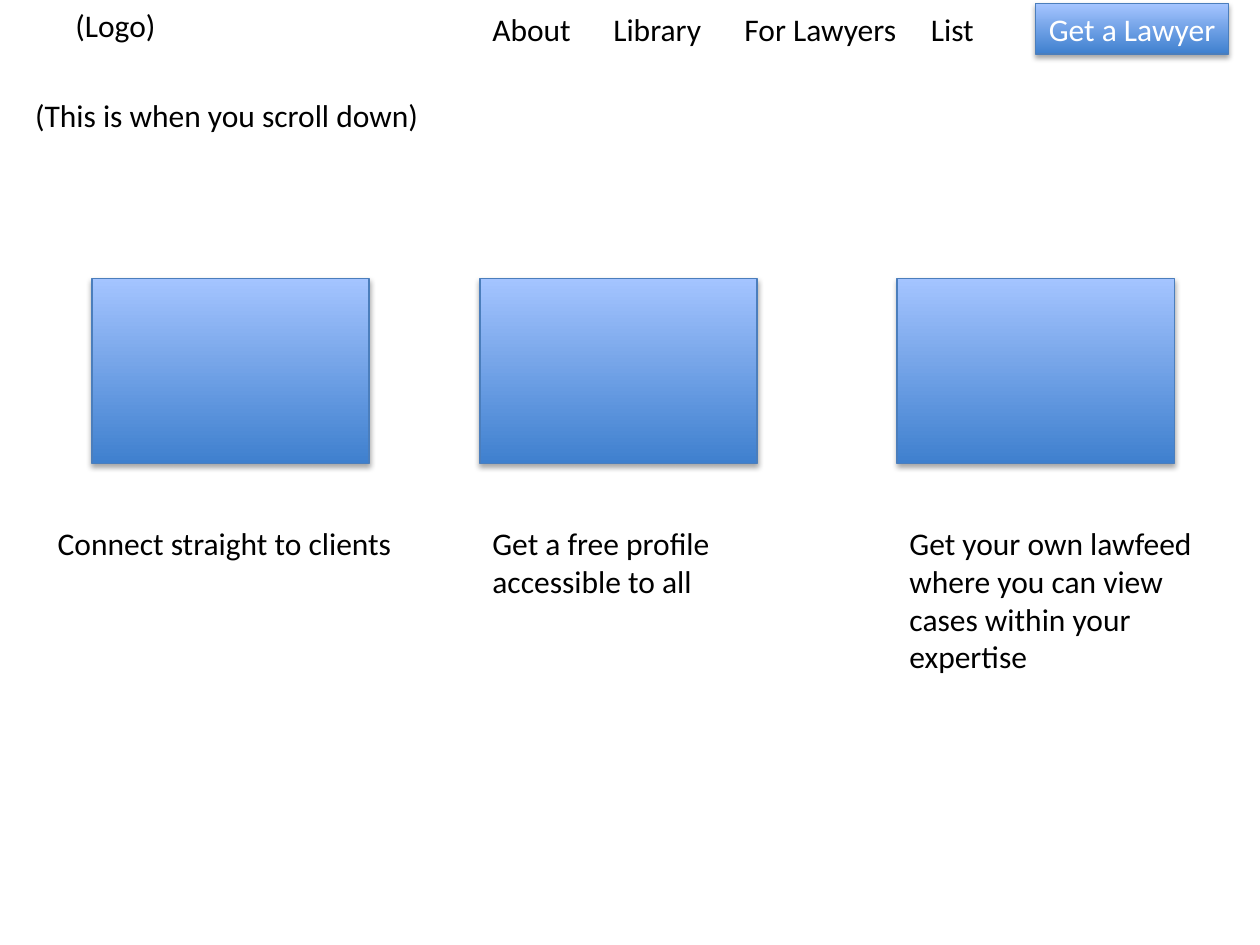
from dataclasses import dataclass
from lxml import etree
from pptx import Presentation
from pptx.dml.color import RGBColor
from pptx.enum.shapes import MSO_SHAPE
from pptx.enum.text import MSO_ANCHOR, MSO_AUTO_SIZE, PP_ALIGN
from pptx.oxml.ns import qn
from pptx.util import Inches, Pt

RECT = MSO_SHAPE.RECTANGLE
TOP, MIDDLE = MSO_ANCHOR.TOP, MSO_ANCHOR.MIDDLE
LEFT, CENTER = PP_ALIGN.LEFT, PP_ALIGN.CENTER
FIT = MSO_AUTO_SIZE.SHAPE_TO_FIT_TEXT
COLS, ROWS = 100, 75


@dataclass(frozen=True)
class Theme:
    font: str = "Calibri"
    size: float = 18
    text: str = "000000"
    inverse: str = "FFFFFF"
    dark: str = "3F80CE"
    light: str = "A4C4FF"
    line: str = "4B7EBC"
    line_width: float = 0.75
    shadow: str = "000000"


def write(sp, text, theme, color, align=LEFT, anchor=TOP, tabs=()):
    tf = sp.text_frame
    tf.word_wrap = False
    tf.vertical_anchor = anchor
    for i, line in enumerate(text.split("\n")):
        p = tf.paragraphs[0] if i == 0 else tf.add_paragraph()
        p.alignment = align
        if tabs:
            stops = etree.SubElement(p._p.get_or_add_pPr(), qn("a:tabLst"))
            for stop in tabs:
                etree.SubElement(stops, qn("a:tab"), pos=str(Inches(stop)), algn="l")
        r = p.add_run()
        r.text = line
        r.font.name = theme.font
        r.font.size = Pt(theme.size)
        r.font.color.rgb = RGBColor.from_string(color)


class Wireframe:
    def __init__(self, prs, theme):
        self.theme = theme
        self.cell_w = prs.slide_width / COLS
        self.cell_h = prs.slide_height / ROWS
        self.s = prs.slides.add_slide(prs.slide_layouts[6])

    def place(self, x, y, w, h):
        return [round(v) for v in (x * self.cell_w, y * self.cell_h,
                                   w * self.cell_w, h * self.cell_h)]

    def label(self, text, x, y, w, h=4, tabs=()):
        sp = self.s.shapes.add_textbox(*self.place(x, y, w, h))
        write(sp, text, self.theme, self.theme.text, tabs=tabs)
        sp.text_frame.auto_size = FIT

    def panel(self, x, y, w, h, text=None):
        theme = self.theme
        sp = self.s.shapes.add_shape(RECT, *self.place(x, y, w, h))
        sp.fill.gradient()
        sp.fill.gradient_angle = 90
        for stop, color in zip(sp.fill.gradient_stops, (theme.dark, theme.light)):
            stop.color.rgb = RGBColor.from_string(color)
        sp.line.color.rgb = RGBColor.from_string(theme.line)
        sp.line.width = Pt(theme.line_width)
        self.cast_shadow(sp)
        if text:
            write(sp, text, theme, theme.inverse, align=CENTER, anchor=MIDDLE)

    def cast_shadow(self, sp):
        sp.shadow.inherit = False
        effects = sp._element.spPr.find(qn("a:effectLst"))
        shadow = etree.SubElement(effects, qn("a:outerShdw"), blurRad=str(Pt(3.1)),
                                  dist=str(Pt(1.8)), dir="5400000", rotWithShape="0")
        color = etree.SubElement(shadow, qn("a:srgbClr"), val=self.theme.shadow)
        etree.SubElement(color, qn("a:alpha"), val="35000")


prs = Presentation()
prs.slide_width, prs.slide_height = Inches(10), Inches(7.5)
page = Wireframe(prs, Theme())

page.label("(Logo)", 5, 0, 12.1, 7.1)
page.label("About\tLibrary\tFor Lawyers\tList", 38.1, 0.3, 40.7, tabs=(0.96, 2, 3.48))
page.panel(82.2, 0.3, 15.3, 4, "Get a Lawyer")
page.label("(This is when you scroll down)", 1.8, 7.1, 32.7)

FEATURES = (
    (7.3, 3.6, 28.8, "Connect straight to clients"),
    (38.1, 38.1, 19.4, "Get a free profile\naccessible to all"),
    (71.2, 71.2, 24.6,
     "Get your own lawfeed\nwhere you can view\ncases within your\nexpertise"),
)
for panel_x, label_x, label_w, text in FEATURES:
    page.panel(panel_x, 22.1, 22, 14.7)
    page.label(text, label_x, 41.1, label_w, 4 + 3 * text.count("\n"))

prs.save("out.pptx")
